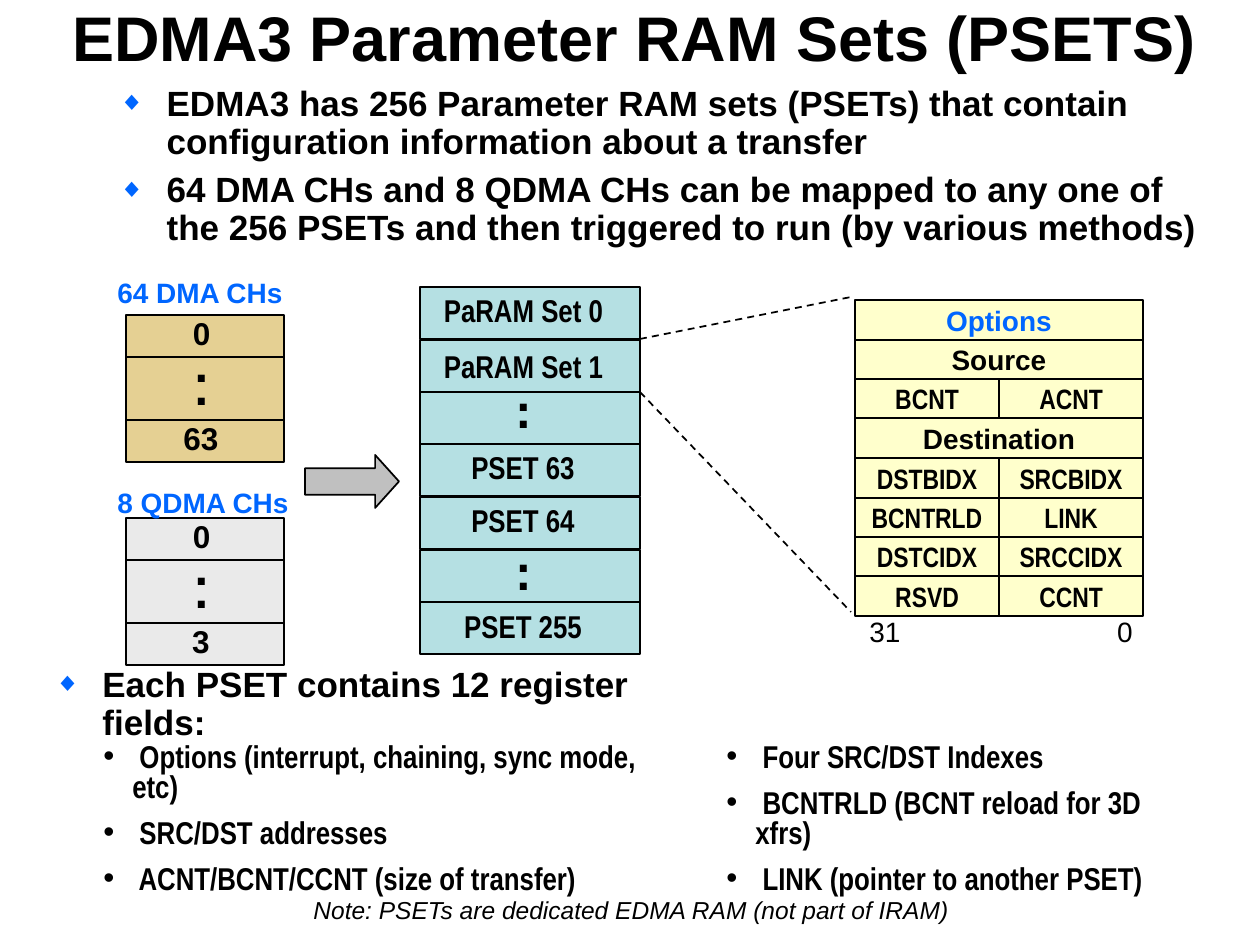
import pptx
import pptx.util
import pptx.dml.color
import pptx.enum.dml
import pptx.enum.shapes
import pptx.enum.text
import lxml.etree

Align = pptx.enum.text.PP_ALIGN
Anchor = pptx.enum.text.MSO_ANCHOR
Preset = pptx.enum.shapes.MSO_SHAPE
EMU_PER_PIXEL = 914400 / 126
DOTS = ".\v."
BLACK, BLUE = "000000", "0066FF"


def px(length):
    """Turn pixels into EMU."""
    return pptx.util.Emu(round(length * EMU_PER_PIXEL))


def colour(hex_value):
    """Turn a hex string into a colour."""
    return pptx.dml.color.RGBColor.from_string(hex_value)


def apply(target, values):
    """Set each named attribute on the target."""
    for name, value in values.items():
        setattr(target, name, value)


def place(part, box):
    """Move a part to a pixel box."""
    apply(part, dict(zip(("left", "top", "width", "height"), map(px, box))))


def add_xml(parent, tag, **attributes):
    """Append a drawing element and return it."""
    return lxml.etree.SubElement(parent, pptx.oxml.ns.qn("a:" + tag), attributes)


def write(part, lines, size, font="Arial", hue=BLACK, bold=True, italic=False,
          anchor=Anchor.TOP, wrap=True, paragraph_format=None):
    """Fill a part with formatted paragraphs and return them."""
    frame = part.text_frame
    apply(frame, {"word_wrap": wrap, "vertical_anchor": anchor,
                  "auto_size": pptx.enum.text.MSO_AUTO_SIZE.NONE})
    frame.text = "\n".join(lines)
    for paragraph in frame.paragraphs:
        apply(paragraph, paragraph_format or {})
        for run in paragraph.runs:
            apply(run.font, {"size": pptx.util.Pt(size), "name": font,
                             "bold": bold, "italic": italic})
            run.font.color.rgb = colour(hue)
    return frame.paragraphs


def label(slide, box, text, size, **formats):
    """Add a text box with one paragraph or more."""
    part = slide.shapes.add_textbox(*map(px, box))
    lines = [text] if isinstance(text, str) else text
    return write(part, lines, size, **formats)


def bullet(paragraphs, symbol, indent, hue=None, percent=100):
    """Give paragraphs a hanging bullet."""
    for paragraph in paragraphs:
        properties = paragraph._p.get_or_add_pPr()
        properties.set("marL", str(px(indent)))
        properties.set("indent", str(-px(indent)))
        if hue:
            add_xml(add_xml(properties, "buClr"), "srgbClr", val=hue)
        add_xml(properties, "buSzPct", val=str(percent * 1000))
        add_xml(properties, "buFont", typeface="Arial")
        add_xml(properties, "buChar", char=symbol)


def outlined(slide, preset, box, fill):
    """Add a filled shape with a thin black outline."""
    part = slide.shapes.add_shape(preset, *map(px, box))
    part.shadow.inherit = False
    part.fill.solid()
    part.fill.fore_color.rgb = colour(fill)
    part.line.color.rgb = colour(BLACK)
    part.line.width = pptx.util.Pt(1)
    return part


def heading(slide, box):
    """Write the slide title."""
    title = slide.shapes.title
    place(title, box)
    apply(title.text_frame, dict.fromkeys(
        ("margin_left", "margin_top", "margin_right", "margin_bottom"), px(6)))
    write(title, ["EDMA3 Parameter RAM Sets (PSETS)"], 36,
          paragraph_format={"alignment": Align.CENTER, "line_spacing": 0.75})


def introduction(slide, box):
    """Write the opening bullets."""
    body = slide.placeholders[1]
    place(body, box)
    body.text_frame.margin_right = 0
    paragraphs = write(
        body,
        ["EDMA3 has 256 Parameter RAM sets (PSETs) that contain\v"
         "configuration information about a transfer",
         "64 DMA CHs and 8 QDMA CHs can be mapped to any one of\v"
         "the 256 PSETs and then triggered to run (by various methods)"],
        20, anchor=Anchor.MIDDLE,
        paragraph_format={"line_spacing": 0.9, "space_before": pptx.util.Pt(0),
                          "space_after": pptx.util.Pt(6)})
    bullet(paragraphs, "◆", 48, BLUE, 75)


def stack(slide, box, rows, fill, centre, font, dot_spacing):
    """Stack cells, each with a label centred on an offset from the left."""
    left, top, width, row_height = box
    for text, units, label_width, drop in rows:
        height = row_height * units
        outlined(slide, Preset.RECTANGLE, (left, round(top), width, round(height)), fill)
        dotted = text == DOTS
        label(slide, (left + centre - label_width // 2, round(top) + drop, label_width, 43),
              text, 28 if dotted else 18, font="Arial" if dotted else font, wrap=False,
              paragraph_format={"alignment": Align.CENTER,
                                "line_spacing": dot_spacing if dotted else 0.8})
        top += height


def channels(slide, box, name, last, fill):
    """Draw a named block of channels."""
    left, top, width, caption_gap = box
    rows = [("0", 1, 43, 0), (DOTS, 1.5, 39, 0), (last, 1, 60, 0)]
    stack(slide, (left, top, width, 42), rows, fill, 75, "Arial", 0.4)
    label(slide, (left - 21, top - caption_gap, 198, 39), name, 16, hue=BLUE,
          wrap=False, paragraph_format={"line_spacing": 0.8})


def parameter_sets(slide, box):
    """Draw the column of parameter sets."""
    rows = [("PaRAM Set 0", 1, 185, 5), ("PaRAM Set 1", 1, 185, 8), (DOTS, 1, 39, -1),
            ("PSET 63", 1, 128, 5), ("PSET 64", 1, 128, 5), (DOTS, 1, 39, 2),
            ("PSET 255", 1, 144, 6)]
    stack(slide, box, rows, "B5E0E3", 103, "Arial Narrow", 0.3)


def registers(slide, box):
    """Draw the register fields of one set with their bit numbers."""
    left, top, width, height = box
    rows = [["Options"], ["Source"], ["BCNT", "ACNT"], ["Destination"],
            ["DSTBIDX", "SRCBIDX"], ["BCNTRLD", "LINK"], ["DSTCIDX", "SRCCIDX"],
            ["RSVD", "CCNT"]]
    for index, fields in enumerate(rows):
        row_top = top + round(index * height / len(rows))
        row_bottom = top + round((index + 1) * height / len(rows))
        field_width = width // len(fields)
        for column, field in enumerate(fields):
            cell = outlined(slide, Preset.RECTANGLE,
                            (left + column * field_width, row_top, field_width,
                             row_bottom - row_top), "FFFFCC")
            write(cell, [field], 16, font="Arial" if len(fields) == 1 else "Arial Narrow",
                  hue=BLUE if field == "Options" else BLACK, anchor=Anchor.MIDDLE,
                  wrap=False, paragraph_format={"alignment": Align.CENTER})
    bits = label(slide, (left + 2, top + height - 8, width, 40), "31\t0", 16, bold=False)
    stops = add_xml(bits[0]._p.get_or_add_pPr(), "tabLst")
    add_xml(stops, "tab", pos=str(px(266)), algn="r")


def zoom_line(slide, start, end):
    """Draw a dashed line from a set to its registers."""
    line = slide.shapes.add_connector(pptx.enum.shapes.MSO_CONNECTOR.STRAIGHT,
                                      *map(px, start + end))
    line.line.color.rgb = colour(BLACK)
    apply(line.line, {"width": pptx.util.Pt(1),
                      "dash_style": pptx.enum.dml.MSO_LINE.DASH})
    add_xml(line._element.spPr, "effectLst")


def mapping_arrow(slide, box):
    """Draw the arrow from channels to sets."""
    arrow = outlined(slide, Preset.RIGHT_ARROW, box, "C0C0C0")
    arrow.adjustments[0], arrow.adjustments[1] = 0.5, 0.45


def field_list(slide, box, fields):
    """Write one column of register descriptions."""
    paragraphs = label(slide, box, fields, 18, font="Arial Narrow",
                       paragraph_format={"line_spacing": 0.8,
                                         "space_before": pptx.util.Pt(9)})
    bullet(paragraphs, "•", 29)


def summary(slide, box):
    """Write the register summary and the closing note."""
    left, top, width, height = box
    lead = label(slide, (left, top, 680, 50), "Each PSET contains 12 register fields:", 20,
                 anchor=Anchor.MIDDLE, paragraph_format={"line_spacing": 0.9})
    bullet(lead, "◆", 48, BLUE, 75)
    field_list(slide, (left + 49, top + 58, 592, 141),
               [" Options (interrupt, chaining, sync mode, etc)", " SRC/DST addresses",
                " ACNT/BCNT/CCNT (size of transfer)"])
    field_list(slide, (left + 672, top + 58, 484, 141),
               [" Four SRC/DST Indexes", " BCNTRLD (BCNT reload for 3D xfrs)",
                " LINK (pointer to another PSET)"])
    label(slide, (left + 259, top + height - 37, 662, 37),
          "Note: PSETs are dedicated EDMA RAM (not part of IRAM)", 14, bold=False,
          italic=True, wrap=False, paragraph_format={"line_spacing": 0.8})


def build():
    """Build and save the slide."""
    deck = pptx.Presentation()
    deck.slide_width, deck.slide_height = px(1260), px(945)
    slide = deck.slides.add_slide(deck.slide_layouts[1])
    heading(slide, (4, 10, 1260, 84))
    introduction(slide, (106, 79, 1102, 176))
    parameter_sets(slide, (420, 287, 220, 52.5))
    registers(slide, (855, 300, 288, 316))
    zoom_line(slide, (640, 339), (851, 297))
    zoom_line(slide, (640, 392), (851, 612))
    mapping_arrow(slide, (305, 455, 94, 53))
    channels(slide, (126, 315, 158, 39), "64 DMA CHs", "63", "E5D093")
    channels(slide, (126, 518, 158, 32), "8 QDMA CHs", "3", "EAEAEA")
    summary(slide, (42, 680, 1156, 252))
    deck.save("out.pptx")


build()
